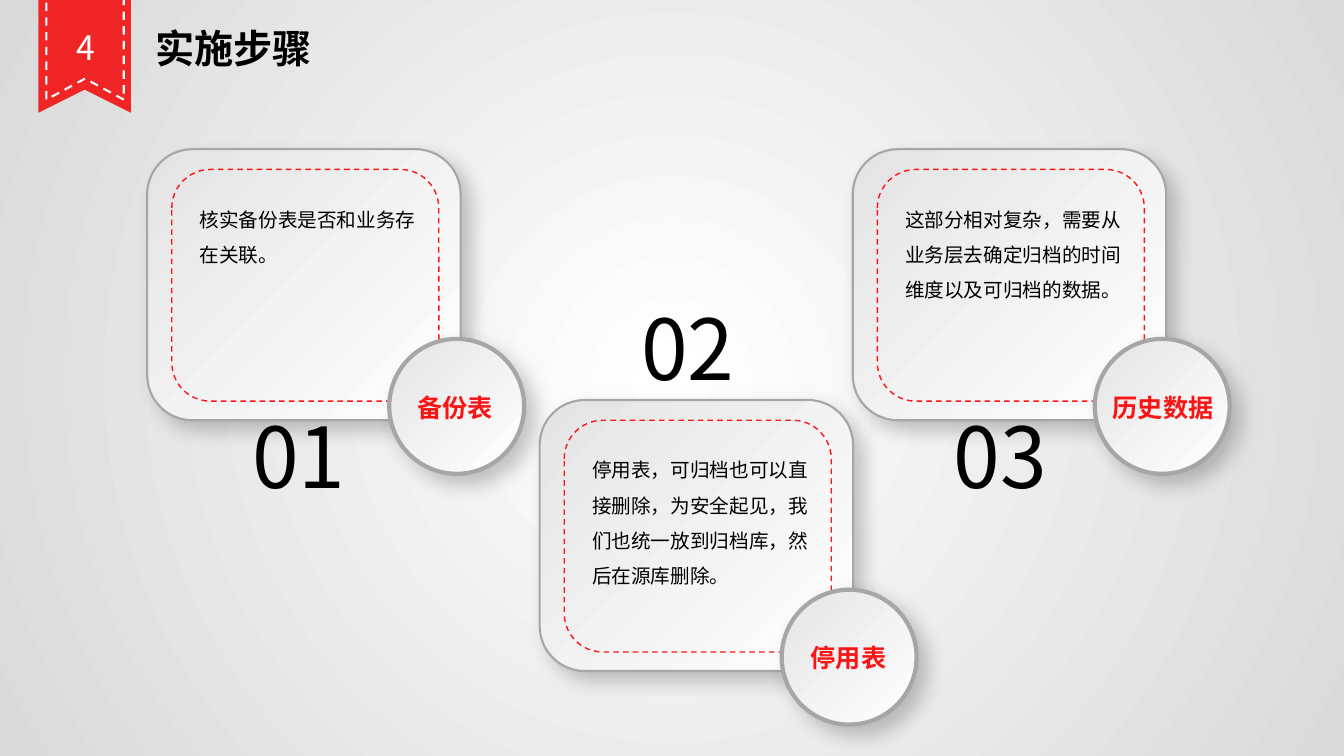
from dataclasses import dataclass

from lxml.etree import SubElement
from pptx import Presentation
from pptx.dml.color import RGBColor
from pptx.enum.dml import MSO_LINE
from pptx.enum.shapes import MSO_SHAPE as Shape
from pptx.enum.text import MSO_AUTO_SIZE as AutoSize, PP_ALIGN as Align
from pptx.oxml.ns import qn
from pptx.util import Cm, Pt

SECTION, TITLE = "4", "实施步骤"

# Places and lengths are in centimetres; "label" is left offset and width.
STEPS = [
    {"number": "01", "number_at": (5.87, 10.08), "card_at": (3.71, 3.76),
     "name": "备份表", "label": (6.55, 2.82), "lines": 2,
     "body": "核实备份表是否和业务存在关联。"},
    {"number": "03", "number_at": (23.55, 10.06), "card_at": (21.49, 3.76),
     "name": "历史数据", "label": (6.3, 3.35), "lines": 3,
     "body": "这部分相对复杂，需要从业务层去确定归档的时间维度以及可归档的数据。"},
    {"number": "02", "number_at": (15.67, 7.34), "card_at": (13.6, 10.08),
     "name": "停用表", "label": (6.58, 2.82), "lines": 4,
     "body": "停用表，可归档也可以直接删除，为安全起见，我们也统一放到归档库，然后在源库删除。"},
]
# left, right, top, side bottom, notch height
RIBBON = (0.97, 3.3, -6.05, 2.84, 2.26)
STITCHING = (1.17, 3.12, -5.79, 2.51, 1.98)


@dataclass(frozen=True)
class Theme:
    font: str = "Noto Sans CJK SC"
    number_font: str = "Noto Sans CJK JP"
    black: str = "000000"
    white: str = "FFFFFF"
    backdrop: str = "D9D9D9"
    card: str = "E4E4E4"
    border: str = "A6A6A6"
    ribbon: str = "F02525"
    dash: str = "FC1515"
    label: str = "F91515"
    number_size: int = 60
    title_size: int = 28
    section_size: int = 24
    label_size: int = 18
    body_size: int = 14


THEME = Theme()


def rgb(color):
    return RGBColor.from_string(color)


def set_gradient(fill, start, end):
    fill.gradient()
    for stop, color, position in zip(fill.gradient_stops, (start, end), (0, 1)):
        stop.color.rgb = rgb(color)
        stop.position = position


def set_line(shape, color, width, dashed=False):
    shape.line.color.rgb = rgb(color)
    shape.line.width = Pt(width)
    if dashed:
        shape.line.dash_style = MSO_LINE.DASH


def paint_background(slide):
    """Fill the slide with a gradient that spreads from its centre."""
    set_gradient(slide.background.fill, THEME.white, THEME.backdrop)
    linear = next(slide.background._cSld.iter(qn("a:lin")))
    gradient = linear.getparent()
    gradient.remove(linear)
    radial = SubElement(gradient, qn("a:path"), {"path": "circle"})
    SubElement(radial, qn("a:fillToRect"),
               {side: "50000" for side in ("l", "t", "r", "b")})


def add_shadow(shape):
    effects = shape._element.spPr.find(qn("a:effectLst"))
    shadow = SubElement(effects, qn("a:outerShdw"), {
        "blurRad": str(Pt(14)), "dist": str(Pt(9)), "dir": str(45 * 60000),
        "algn": "tl", "rotWithShape": "0"})
    color = SubElement(shadow, qn("a:srgbClr"), {"val": THEME.black})
    SubElement(color, qn("a:alpha"), {"val": "22000"})


def add_text(slide, text, box, size, color=THEME.black, font=THEME.font,
             bold=False, align=Align.LEFT, spacing=None):
    text_box = slide.shapes.add_textbox(*map(Cm, box))
    frame = text_box.text_frame
    frame.word_wrap = True
    frame.auto_size = AutoSize.SHAPE_TO_FIT_TEXT
    frame.text = text
    paragraph = frame.paragraphs[0]
    paragraph.alignment = align
    if spacing:
        paragraph.line_spacing = spacing
    run = paragraph.runs[0]
    run.font.name = font
    run.font.size = Pt(size)
    run.font.bold = bold
    run.font.color.rgb = rgb(color)
    SubElement(run.font._element, qn("a:ea"), {"typeface": font})


def add_panel(slide, kind, box, line_width):
    """Add a raised shape with a soft gradient, a grey border and a shadow."""
    panel = slide.shapes.add_shape(kind, *map(Cm, box))
    set_gradient(panel.fill, THEME.card, THEME.white)
    panel.fill.gradient_angle = 315
    set_line(panel, THEME.border, line_width)
    panel.shadow.inherit = False
    add_shadow(panel)


def add_swallowtail(group, left, right, top, bottom, notch):
    outline = [(right, bottom), ((left + right) / 2, notch), (left, bottom),
               (left, top), (right, top)]
    points = [(Cm(x), Cm(y)) for x, y in outline]
    builder = group.shapes.build_freeform(*points[0])
    builder.add_line_segments(points[1:], close=True)
    shape = builder.convert_to_shape()
    shape.shadow.inherit = False
    return shape


def add_header(slide):
    group = slide.shapes.add_group_shape()
    ribbon = add_swallowtail(group, *RIBBON)
    ribbon.fill.solid()
    ribbon.fill.fore_color.rgb = rgb(THEME.ribbon)
    ribbon.line.fill.background()
    stitching = add_swallowtail(group, *STITCHING)
    stitching.fill.background()
    set_line(stitching, THEME.white, 1.5, dashed=True)
    add_text(slide, SECTION, (1.35, 0.56, 1.65, 1.27), THEME.section_size,
             THEME.white, align=Align.CENTER)
    add_text(slide, TITLE, (3.66, 0.48, 6.3, 1.45), THEME.title_size, bold=True)


def add_step(slide, step):
    left, top = step["card_at"]
    add_panel(slide, Shape.ROUNDED_RECTANGLE, (left, top, 7.9, 6.83), 1.5)
    frame = slide.shapes.add_shape(
        Shape.ROUNDED_RECTANGLE, Cm(left + 0.62), Cm(top + 0.51), Cm(6.73), Cm(5.84))
    frame.fill.background()
    frame.shadow.inherit = False
    set_line(frame, THEME.dash, 1, dashed=True)
    add_panel(slide, Shape.OVAL, (left + 6.1, top + 4.78, 3.4, 3.4), 3)
    add_text(slide, step["body"],
             (left + 1.07, top + 1.05, 6.43, 0.28 + 0.89 * step["lines"]),
             THEME.body_size, spacing=1.5)
    offset, width = step["label"]
    add_text(slide, step["name"], (left + offset, top + 5.99, width, 1.02),
             THEME.label_size, THEME.label, bold=True)


def main():
    presentation = Presentation()
    presentation.slide_width, presentation.slide_height = Cm(33.87), Cm(19.05)
    slide = presentation.slides.add_slide(presentation.slide_layouts[6])
    paint_background(slide)
    for step in STEPS:
        add_text(slide, step["number"], (*step["number_at"], 3.33, 2.82),
                 THEME.number_size, font=THEME.number_font, align=Align.CENTER)
    add_header(slide)
    for step in STEPS:
        add_step(slide, step)
    presentation.save("out.pptx")


if __name__ == "__main__":
    main()
